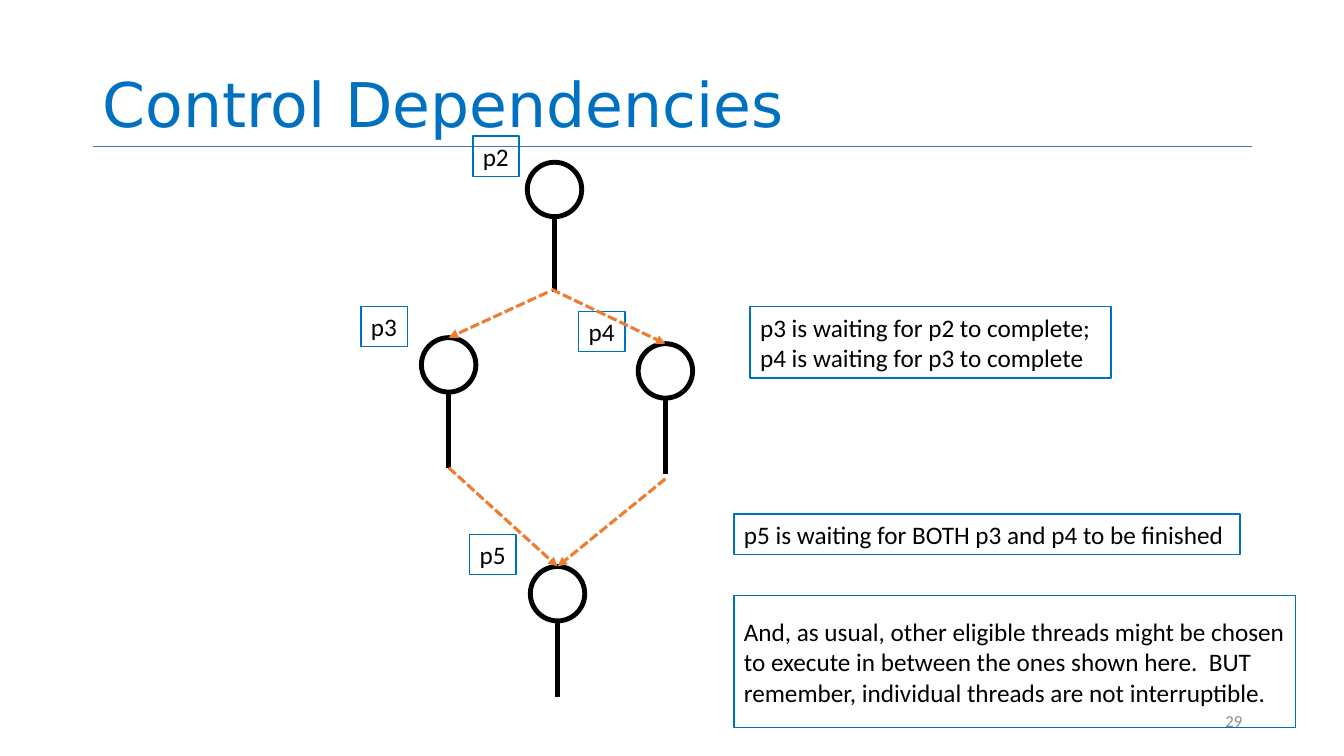
from dataclasses import dataclass

from lxml.etree import SubElement
from pptx import Presentation
from pptx.dml.color import RGBColor as RGB
from pptx.enum.dml import MSO_LINE_DASH_STYLE as Dash
from pptx.enum.shapes import MSO_CONNECTOR as Conn, MSO_SHAPE as Shape
from pptx.enum.text import MSO_ANCHOR as Anchor, MSO_AUTO_SIZE as Fit, PP_ALIGN as Align
from pptx.oxml.ns import qn
from pptx.util import Inches, Pt


@dataclass(frozen=True)
class Theme:
    blue: RGB = RGB(0x00, 0x70, 0xC0)
    rule: RGB = RGB(0x44, 0x72, 0xC4)
    orange: RGB = RGB(0xED, 0x7D, 0x31)
    black: RGB = RGB(0, 0, 0)
    gray: RGB = RGB(0x8C, 0x8C, 0x8C)
    head: str = "DejaVu Sans"
    body: str = "Calibri"
    title: int = 44
    text: int = 18
    small: int = 12


THEME = Theme()
RING = 0.54
STEM = 0.75

# Name, left and top of the ring, label offset from the ring
NODES = [
    ("p2", 5.23, 1.61, -0.54, -0.26),
    ("p3", 4.18, 3.35, -0.6, -0.31),
    ("p4", 6.33, 3.41, -0.59, -0.32),
    ("p5", 5.26, 5.62, -0.6, -0.32),
]
ARROWS = [
    ((5.43, 2.9), (4.45, 3.35)),
    ((5.47, 2.87), (6.6, 3.41)),
    ((4.45, 4.64), (5.53, 5.62)),
    ((6.6, 4.75), (5.53, 5.62)),
]
# Box, lines of text, whether they wrap
NOTES = [
    ((7.44, 3.04, 3.58, 0.71),
     ["p3 is waiting for p2 to complete;", "p4 is waiting for p3 to complete"], False),
    ((7.28, 5.1, 5.02, 0.4),
     ["p5 is waiting for BOTH p3 and p4 to be finished"], False),
    ((7.28, 5.91, 5.57, 1.31),
     ["And, as usual, other eligible threads might be chosen to execute in "
      "between the ones shown here.  BUT remember, individual threads are "
      "not interruptible."], True),
]


def inches(box):
    return [Inches(n) for n in box]


def add_run(para, text, size, color, font=THEME.body):
    run = para.add_run()
    run.text = text
    run.font.size = Pt(size)
    run.font.name = font
    run.font.color.rgb = color


def add_line(shapes, start, end, color, width):
    line = shapes.add_connector(Conn.STRAIGHT, *inches(start + end))
    line.line.color.rgb = color
    line.line.width = Pt(width)
    SubElement(line._element.spPr, qn("a:effectLst"))
    return line


def add_arrow(shapes, start, end):
    line = add_line(shapes, start, end, THEME.orange, 2.25).line
    line.dash_style = Dash.SQUARE_DOT
    SubElement(line._get_or_add_ln(), qn("a:tailEnd"), type="triangle")


def add_outline(shapes, kind, box, color, width):
    shape = shapes.add_shape(kind, *inches(box))
    shape.shadow.inherit = False
    shape.fill.background()
    shape.line.color.rgb = color
    shape.line.width = Pt(width)
    return shape


def add_note(shapes, box, lines, wrap=False):
    frame = add_outline(shapes, Shape.RECTANGLE, box, THEME.blue, 1).text_frame
    frame.word_wrap = wrap
    frame.auto_size = Fit.SHAPE_TO_FIT_TEXT
    frame.vertical_anchor = Anchor.MIDDLE
    for i, text in enumerate(lines):
        para = frame.add_paragraph() if i else frame.paragraphs[0]
        para.alignment = Align.LEFT
        add_run(para, text, THEME.text, THEME.black)


def add_node(shapes, name, left, top, dx, dy):
    """Group a ring, the stem below it and its label."""
    parts = shapes.add_group_shape().shapes
    add_outline(parts, Shape.OVAL, (left, top, RING, RING), THEME.black, 3.5)
    mid, base = left + RING / 2, top + RING
    add_line(parts, (mid, base), (mid, base + STEM), THEME.black, 3.5)
    add_note(parts, (left + dx, top + dy, 0.46, 0.4), [name])


def add_title(slide, box, text):
    left, top, width, height = box
    base = top + height
    add_line(slide.shapes, (left, base), (left + width, base), THEME.rule, 0.5)
    title = slide.shapes.title
    title.left, title.top, title.width, title.height = inches(box)
    frame = title.text_frame
    frame.word_wrap = True
    frame.auto_size = Fit.NONE
    frame.vertical_anchor = Anchor.BOTTOM
    para = frame.paragraphs[0]
    para.alignment = Align.LEFT
    para.line_spacing = 0.9
    add_run(para, text, THEME.title, THEME.blue, THEME.head)


def add_number(slide, box, text):
    frame = slide.shapes.add_textbox(*inches(box)).text_frame
    frame.word_wrap = True
    frame.vertical_anchor = Anchor.MIDDLE
    para = frame.paragraphs[0]
    para.alignment = Align.RIGHT
    add_run(para, text, THEME.small, THEME.gray)


def add_graph(slide):
    for node in NODES:
        add_node(slide.shapes, *node)
    for start, end in ARROWS:
        add_arrow(slide.shapes, start, end)


def main():
    deck = Presentation()
    deck.slide_width, deck.slide_height = Inches(13.33), Inches(7.5)
    slide = deck.slides.add_slide(deck.slide_layouts[5])
    add_title(slide, (0.92, 0, 11.5, 1.45), "Control Dependencies")
    add_number(slide, (9.42, 6.95, 3, 0.4), "29")
    add_graph(slide)
    for note in NOTES:
        add_note(slide.shapes, *note)
    deck.save("out.pptx")


if __name__ == "__main__":
    main()
